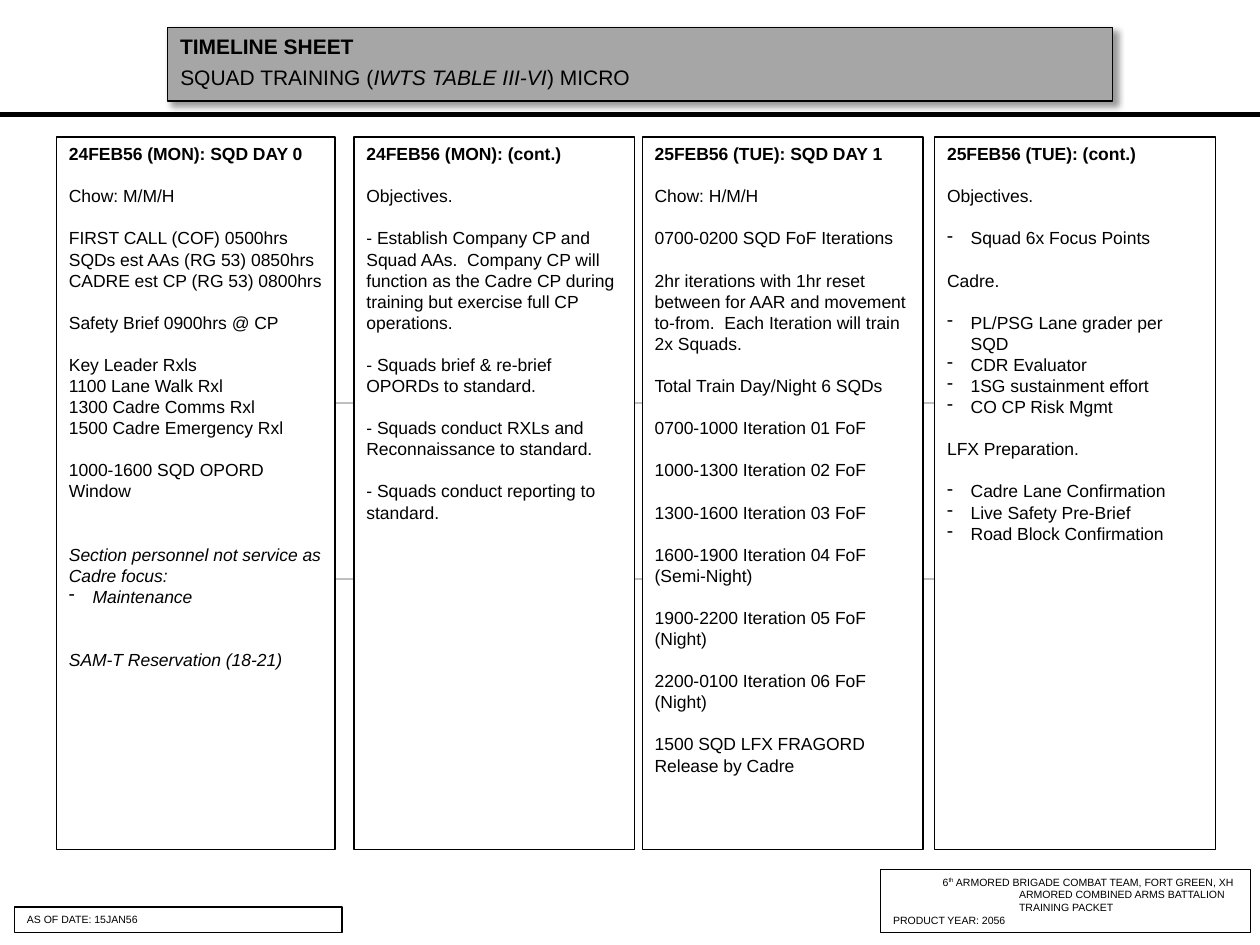
"""Build the squad training timeline sheet."""
from dataclasses import dataclass

from lxml import etree
from pptx import Presentation
from pptx.dml.color import RGBColor
from pptx.enum import shapes, text
from pptx.oxml import ns
from pptx.util import Pt


@dataclass(frozen=True)
class Theme:
    font: str = "Arial"
    ink: str = "000000"
    paper: str = "FFFFFF"
    banner: str = "A6A6A6"
    frame: str = "BFBFBF"
    title_size: float = 12
    body_size: float = 10
    footer_size: float = 6
    leading: float = 1.205
    hanging: float = 13.5


THEME = Theme()

BANNER = "TIMELINE SHEET"
TITLE = [("SQUAD TRAINING (", {}), ("IWTS TABLE III-VI", {"italic": True}), (") MICRO", {})]
AS_OF = "AS OF DATE: 15JAN56"
UNIT = [
    (28.4, [("6", {}), ("th", {"raised": True}),
            (" ARMORED BRIGADE COMBAT TEAM, FORT GREEN, XH", {})]),
    (72, [("ARMORED COMBINED ARMS BATTALION", {})]),
    (72, [("TRAINING PACKET", {})]),
    (0, [("PRODUCT YEAR: 2056", {})]),
]

COLUMNS = [
    (32.3, 159.1, "24FEB56 (MON): SQD DAY 0", [
        (1, "", ["Chow: M/M/H"]),
        (1, "", ["FIRST CALL (COF) 0500hrs", "SQDs est AAs (RG 53) 0850hrs",
                 "CADRE est CP (RG 53) 0800hrs"]),
        (1, "", ["Safety Brief 0900hrs @ CP"]),
        (1, "", ["Key Leader Rxls", "1100 Lane Walk Rxl", "1300 Cadre Comms Rxl",
                 "1500 Cadre Emergency Rxl"]),
        (1, "", ["1000-1600 SQD OPORD Window"]),
        (2, "italic", ["Section personnel not service as Cadre focus:"]),
        (0, "italic dash", ["Maintenance"]),
        (2, "italic", ["SAM-T Reservation (18-21)"]),
    ]),
    (202.3, 160.4, "24FEB56 (MON): (cont.)", [
        (1, "", ["Objectives."]),
        (1, "", ["- Establish Company CP and Squad AAs.  Company CP will function as the "
                 "Cadre CP during training but exercise full CP operations."]),
        (1, "", ["- Squads brief & re-brief OPORDs to standard."]),
        (1, "", ["- Squads conduct RXLs and Reconnaissance to standard."]),
        (1, "", ["- Squads conduct reporting to standard."]),
    ]),
    (367, 160.4, "25FEB56 (TUE): SQD DAY 1", [
        (1, "", ["Chow: H/M/H"]),
        (1, "", ["0700-0200 SQD FoF Iterations"]),
        (1, "", ["2hr iterations with 1hr reset between for AAR and movement to-from.  "
                 "Each Iteration will train 2x Squads."]),
        (1, "", ["Total Train Day/Night 6 SQDs"]),
        (1, "", ["0700-1000 Iteration 01 FoF"]),
        (1, "", ["1000-1300 Iteration 02 FoF"]),
        (1, "", ["1300-1600 Iteration 03 FoF"]),
        (1, "", ["1600-1900 Iteration 04 FoF", "(Semi-Night)"]),
        (1, "", ["1900-2200 Iteration 05 FoF", "(Night)"]),
        (1, "", ["2200-0100 Iteration 06 FoF", "(Night)"]),
        (1, "", ["1500 SQD LFX FRAGORD Release by Cadre"]),
    ]),
    (534.1, 160.4, "25FEB56 (TUE): (cont.)", [
        (1, "", ["Objectives."]),
        (1, "dash", ["Squad 6x Focus Points"]),
        (1, "", ["Cadre."]),
        (1, "dash", ["PL/PSG Lane grader per SQD", "CDR Evaluator",
                     "1SG sustainment effort", "CO CP Risk Mgmt"]),
        (1, "", ["LFX Preparation."]),
        (1, "dash", ["Cadre Lane Confirmation", "Live Safety Pre-Brief",
                     "Road Block Confirmation"]),
    ]),
]


def color(value):
    return RGBColor.from_string(value)


def add_box(slide, left, top, width, height, fill=THEME.paper, line=THEME.ink, weight=0.75):
    shape = slide.shapes.add_shape(
        shapes.MSO_SHAPE.RECTANGLE, Pt(left), Pt(top), Pt(width), Pt(height))
    shape.shadow.inherit = False
    if fill:
        shape.fill.solid()
        shape.fill.fore_color.rgb = color(fill)
    else:
        shape.fill.background()
    shape.line.color.rgb = color(line)
    shape.line.width = Pt(weight)
    shape.text_frame.word_wrap = True
    shape.text_frame.vertical_anchor = text.MSO_ANCHOR.TOP
    return shape


def add_paragraph(frame, runs, size, blank_lines=0, indent=0, dash=False):
    paragraph = frame.paragraphs[0] if not frame.text else frame.add_paragraph()
    paragraph.alignment = text.PP_ALIGN.LEFT
    paragraph.line_spacing = Pt(size * THEME.leading)
    paragraph.space_before = Pt(blank_lines * size * THEME.leading)
    properties = paragraph._p.get_or_add_pPr()
    if dash:
        properties.set("marL", str(Pt(THEME.hanging)))
        properties.set("indent", str(-Pt(THEME.hanging)))
        etree.SubElement(properties, ns.qn("a:buChar"), char="-")
    elif indent:
        properties.set("marL", str(Pt(indent)))
        properties.set("indent", "0")
    for words, style in runs:
        run = paragraph.add_run()
        run.text = words
        run.font.name = THEME.font
        run.font.size = Pt(size)
        run.font.color.rgb = color(THEME.ink)
        run.font.bold = style.get("bold", False)
        run.font.italic = style.get("italic", False)
        if style.get("raised"):
            run._r.get_or_add_rPr().set("baseline", "30000")


def add_rule(slide):
    rule = slide.shapes.add_connector(
        shapes.MSO_CONNECTOR.STRAIGHT, Pt(0), Pt(65.5), Pt(720), Pt(65.5))
    rule.line.color.rgb = color(THEME.ink)
    rule.line.width = Pt(3)
    etree.SubElement(rule.element.spPr, ns.qn("a:effectLst"))


def add_heading(slide):
    banner = add_box(slide, 95.8, 15.8, 540, 42, THEME.banner, weight=1)
    add_paragraph(banner.text_frame, [(BANNER, {"bold": True})], THEME.title_size)
    effects = banner.element.spPr.find(ns.qn("a:effectLst"))
    shadow = etree.SubElement(
        effects, ns.qn("a:outerShdw"), blurRad=str(Pt(4)), dist=str(Pt(3)),
        dir="2700000", algn="tl", rotWithShape="0")
    shade = etree.SubElement(shadow, ns.qn("a:srgbClr"), val=THEME.ink)
    etree.SubElement(shade, ns.qn("a:alpha"), val="40000")

    title = slide.shapes.title
    title.left, title.top, title.width, title.height = Pt(95.8), Pt(33), Pt(387), Pt(21.8)
    frame = title.text_frame
    frame.word_wrap = True
    frame.auto_size = text.MSO_AUTO_SIZE.NONE
    frame.vertical_anchor = text.MSO_ANCHOR.MIDDLE
    add_paragraph(frame, TITLE, THEME.title_size)
    title.element.addprevious(banner.element)


def add_column(slide, left, width, heading, groups):
    frame = add_box(slide, left, 78.2, width, 407.2).text_frame
    add_paragraph(frame, [(heading, {"bold": True})], THEME.body_size)
    for blank_lines, style, lines in groups:
        for index, line in enumerate(lines):
            add_paragraph(frame, [(line, {"italic": "italic" in style})], THEME.body_size,
                          blank_lines=0 if index else blank_lines, dash="dash" in style)


def add_footer(slide):
    date_box = add_box(slide, 8.3, 518.3, 187.2, 14.7)
    add_paragraph(date_box.text_frame, [(AS_OF, {})], THEME.footer_size)
    unit_box = add_box(slide, 503.2, 496.8, 211.2, 36.2)
    for indent, runs in UNIT:
        add_paragraph(unit_box.text_frame, runs, THEME.footer_size, indent=indent)


presentation = Presentation()
presentation.slide_width, presentation.slide_height = Pt(720), Pt(540)
slide = presentation.slides.add_slide(presentation.slide_layouts.get_by_name("Title Only"))
add_rule(slide)
add_heading(slide)
add_box(slide, 118.8, 230.4, 494.6, 100.5, fill=None, line=THEME.frame, weight=1)
for column in COLUMNS:
    add_column(slide, *column)
add_footer(slide)
presentation.save("out.pptx")
